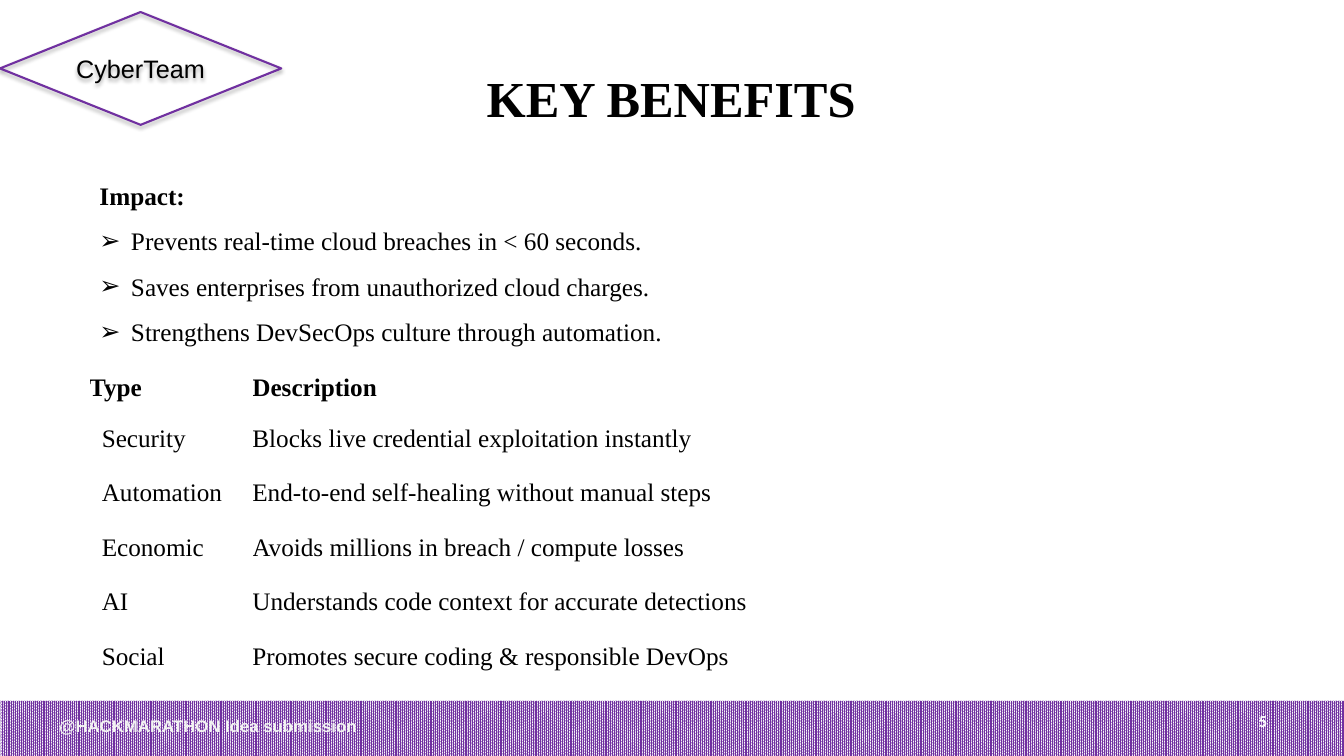
"""Build the Key Benefits slide."""
from lxml.etree import SubElement
from pptx import Presentation
from pptx.dml.color import RGBColor
from pptx.enum.dml import MSO_PATTERN
from pptx.enum.shapes import MSO_SHAPE as SHAPE
from pptx.enum.text import MSO_ANCHOR as ANCHOR, PP_ALIGN as ALIGN
from pptx.oxml.ns import qn
from pptx.util import Pt

COLORS = {"purple": "7030A0", "white": "FFFFFF", "black": "000000",
          "footer": "F2F2F2", "gray": "808080"}
SERIF = "Times New Roman"
IMPACT = ["Prevents real-time cloud breaches in < 60 seconds.",
          "Saves enterprises from unauthorized cloud charges.",
          "Strengthens DevSecOps culture through automation."]
BENEFITS = [("Type", "Description"),
            ("Security", "Blocks live credential exploitation instantly"),
            ("Automation", "End-to-end self-healing without manual steps"),
            ("Economic", "Avoids millions in breach / compute losses"),
            ("AI", "Understands code context for accurate detections"),
            ("Social", "Promotes secure coding & responsible DevOps")]


def rgb(name):
    return RGBColor.from_string(COLORS[name])


def write(p, text, size=18, font=SERIF, color="black", bold=False,
          align=ALIGN.LEFT, spacing=None, bullet=None, indent=22.5):
    p.alignment = align
    if spacing:
        p.line_spacing = spacing
    if bullet:
        pPr = p._p.get_or_add_pPr()
        pPr.set("marL", str(Pt(indent)))
        pPr.set("indent", str(-Pt(indent)))
        SubElement(pPr, qn("a:buFont"), typeface="Arial")
        SubElement(pPr, qn("a:buChar"), char=bullet)
    r = p.add_run()
    r.text = text
    r.font.size, r.font.name, r.font.bold = Pt(size), font, bold
    r.font.color.rgb = rgb(color)


class SlideBuilder:
    def __init__(self, prs):
        self.slide = prs.slides.add_slide(prs.slide_layouts[6])
        self.shapes = self.slide.shapes

    def shape(self, kind, box, shadow, blur):
        sp = self.shapes.add_shape(kind, *map(Pt, box))
        sp.fill.background()
        sp.line.fill.background()
        sp.shadow.inherit = False
        effects = sp._element.spPr.find(qn("a:effectLst"))
        outer = SubElement(effects, qn("a:outerShdw"), blurRad=str(Pt(blur)),
                           dist=str(Pt(1.8)), dir="5400000", rotWithShape="0")
        tint = SubElement(outer, qn("a:srgbClr"), val=COLORS[shadow])
        SubElement(tint, qn("a:alpha"), val="35000")
        return sp

    def bar(self, box):
        sp = self.shape(SHAPE.RECTANGLE, box, "gray", 0)
        sp.fill.patterned()
        sp.fill.pattern = MSO_PATTERN.PERCENT_90
        sp.fill.fore_color.rgb = rgb("purple")
        sp.fill.back_color.rgb = rgb("white")

    def badge(self, box, text):
        sp = self.shape(SHAPE.DIAMOND, box, "black", 3.1)
        sp.line.color.rgb = rgb("purple")
        sp.line.width = Pt(1.5)
        tf = sp.text_frame
        tf.word_wrap = False
        tf.margin_left = tf.margin_right = 0
        tf.vertical_anchor = ANCHOR.MIDDLE
        write(tf.paragraphs[0], text, font="Arial", align=ALIGN.CENTER)

    def text(self, box, lines, anchor=ANCHOR.MIDDLE):
        tf = self.shapes.add_textbox(*map(Pt, box)).text_frame
        tf.word_wrap = True
        tf.vertical_anchor = anchor
        for i, (text, style) in enumerate(lines):
            p = tf.add_paragraph() if i else tf.paragraphs[0]
            write(p, text, **style)

    def table(self, box, rows, widths, heights):
        table = self.shapes.add_table(len(rows), len(widths), *map(Pt, box)).table
        table.first_row = table.horz_banding = False
        for column, width in zip(table.columns, widths):
            column.width = Pt(width)
        for i, (row, height) in enumerate(zip(rows, heights)):
            table.rows[i].height = Pt(height)
            for j, text in enumerate(row):
                cell = table.cell(i, j)
                cell.fill.background()
                cell.vertical_anchor = ANCHOR.MIDDLE
                cell.margin_top = cell.margin_bottom = cell.margin_right = 0
                cell.margin_left = Pt(9 if i and not j else 0)
                write(cell.text_frame.paragraphs[0], text, bold=not i, spacing=0.7)


def main():
    prs = Presentation()
    prs.slide_width, prs.slide_height = Pt(960), Pt(540)
    s = SlideBuilder(prs)
    s.bar((0, 500.4, 960, 39.6))
    s.text((47.5, 24.5, 864, 90),
           [("KEY BENEFITS", dict(size=36, bold=True, align=ALIGN.CENTER))])
    body = dict(align=ALIGN.JUSTIFY, spacing=1.5)
    s.text((64, 114.5, 427, 138),
           [("Impact:", dict(body, bold=True))]
           + [(line, dict(body, bullet="➢")) for line in IMPACT], ANCHOR.TOP)
    small = dict(size=12, bold=True)
    s.text((688.3, 500.4, 224, 28.8),
           [("5", dict(small, font="Calibri", color="white", align=ALIGN.RIGHT))])
    s.text((7.9, 508.3, 281.5, 20.9),
           [("@HACKMARATHON Idea submission",
             dict(small, font="Arial", color="footer", align=ALIGN.CENTER))])
    s.badge((0, 8.6, 200.9, 80.6), "CyberTeam")
    s.table((63.7, 262.2, 541.4, 228.3), BENEFITS, (116.6, 424.8), [33.8] + [38.9] * 5)
    prs.save("out.pptx")


if __name__ == "__main__":
    main()
